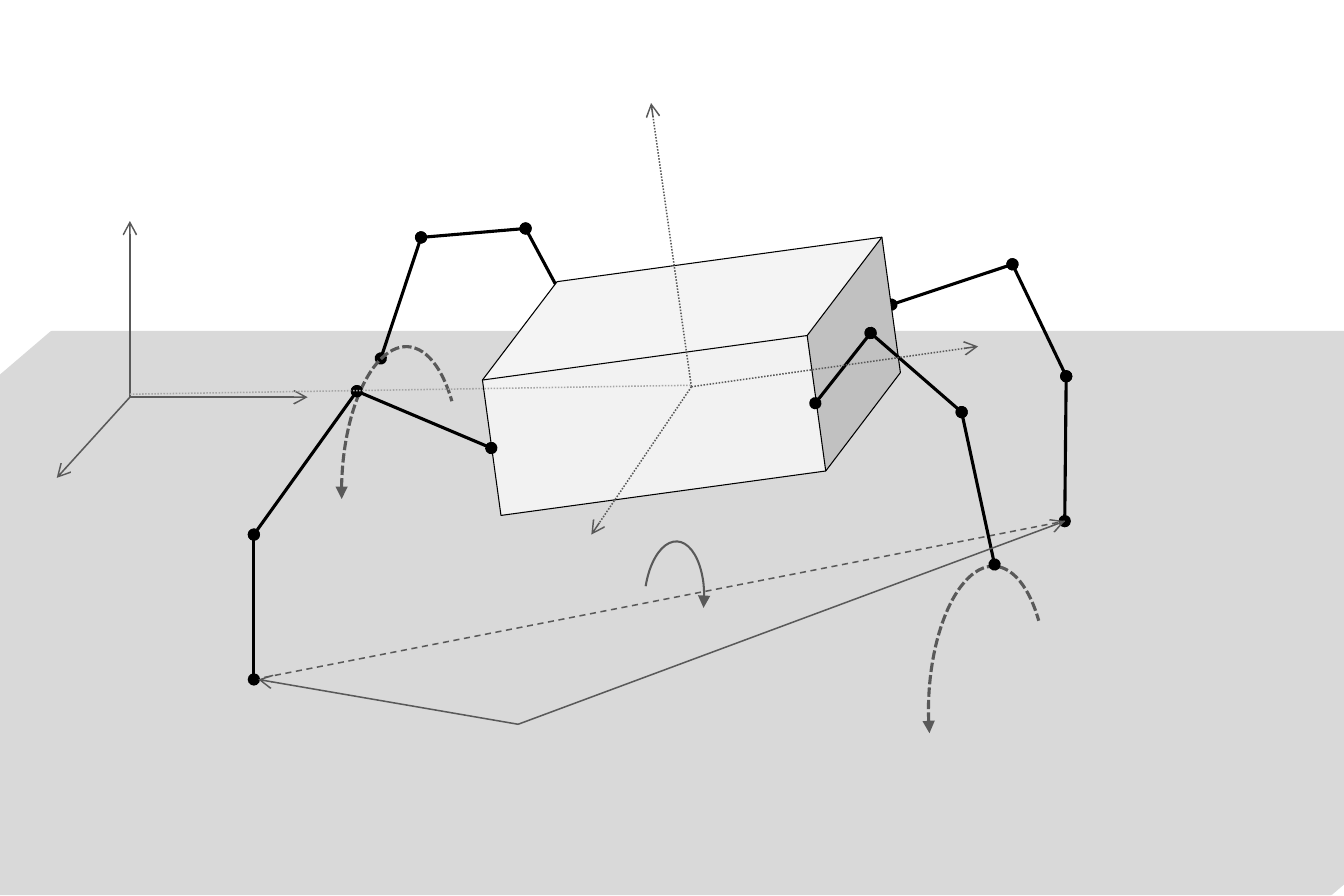
from dataclasses import dataclass
from itertools import pairwise

from lxml import etree
from pptx import Presentation
from pptx.dml.color import RGBColor
from pptx.enum import dml, shapes
from pptx.oxml import ns
from pptx.util import Inches, Pt


@dataclass(frozen=True)
class Theme:
    """Colours, line widths and dashes of the robot diagram."""
    ground: str = "D9D9D9"
    body: str = "F2F2F2"
    leg: str = "000000"
    guide: str = "595959"
    faint: str = "A6A6A6"
    ground_width: float = 2
    leg_width: float = 1.5
    swing_width: float = 1.5
    turn_width: float = 1
    guide_width: float = 0.75
    body_width: float = 0.5
    dotted: dml.MSO_LINE = dml.MSO_LINE.ROUND_DOT
    short_dash: dml.MSO_LINE = dml.MSO_LINE.SQUARE_DOT
    dashed: dml.MSO_LINE = dml.MSO_LINE.DASH


THEME = Theme()
LEFT_FOOT = (1.7, 4.55)
RIGHT_FOOT = (7.13, 3.49)
BODY_CENTER = (4.63, 2.59)
WORLD_ORIGIN = (0.87, 2.66)
GROUND_POINT = (3.47, 4.85)


def style_line(shape, color, width, dash=None, head=None, tail=None):
    """Set the outline and its end marks."""
    shape.line.color.rgb = RGBColor.from_string(color)
    shape.line.width = Pt(width)
    if dash is not None:
        shape.line.dash_style = dash
    outline = shape.element.spPr.find(ns.qn("a:ln"))
    for tag, mark in (("a:headEnd", head), ("a:tailEnd", tail)):
        if mark:
            etree.SubElement(outline, ns.qn(tag), type=mark)


def add_line(slide, start, end, color=THEME.guide, width=THEME.guide_width, **ends):
    """Draw a straight connector between two points."""
    connector = slide.shapes.add_connector(
        shapes.MSO_CONNECTOR.STRAIGHT, *(Inches(value) for value in (*start, *end)))
    style_line(connector, color, width, **ends)
    etree.SubElement(connector.element.spPr, ns.qn("a:effectLst"))


def add_leg(slide, *joints):
    """Draw a leg as links with a round joint at each end."""
    for start, end in pairwise(joints):
        add_line(slide, start, end, THEME.leg, THEME.leg_width, head="oval", tail="oval")


def add_axes(slide, origin, tips, dash=None):
    """Draw arrows from one origin to several tips."""
    for tip in tips:
        add_line(slide, origin, tip, dash=dash, tail="arrow")


def add_preset(slide, kind, box, adjustments, fill=None, rotation=0, **outline):
    """Draw a preset shape in a box of left, top, width and height."""
    shape = slide.shapes.add_shape(kind, *(Inches(value) for value in box))
    shape.shadow.inherit = False
    shape.rotation = rotation
    for index, value in enumerate(adjustments):
        shape.adjustments[index] = value
    if fill:
        shape.fill.solid()
        shape.fill.fore_color.rgb = RGBColor.from_string(fill)
    else:
        shape.fill.background()
    style_line(shape, **outline)


def add_arc(slide, box, angles, **outline):
    """Draw a curved motion arrow."""
    add_preset(slide, shapes.MSO_SHAPE.ARC, box, angles, rotation=272.9,
               color=THEME.guide, **outline)


def add_swing(slide, left, top, start):
    """Draw the dashed swing path of a lifted foot."""
    add_arc(slide, (left, top, 1.77, 0.79), (start, 18.27), width=THEME.swing_width,
            dash=THEME.short_dash, head="triangle")


def main():
    """Build the walking robot slide."""
    presentation = Presentation()
    presentation.slide_width, presentation.slide_height = Inches(9), Inches(6)
    slide = presentation.slides.add_slide(presentation.slide_layouts[6])

    add_preset(slide, shapes.MSO_SHAPE.PARALLELOGRAM, (-4.04, 2.23, 17.34, 3.75), [1.17],
               fill=THEME.ground, color=THEME.ground, width=THEME.ground_width)
    add_leg(slide, (5.97, 2.04), (6.78, 1.77), (7.14, 2.52), RIGHT_FOOT)
    add_line(slide, LEFT_FOOT, RIGHT_FOOT, dash=THEME.dashed)
    add_leg(slide, (3.89, 2.22), (3.52, 1.53), (2.82, 1.59), (2.55, 2.4))
    add_preset(slide, shapes.MSO_SHAPE.CUBE, (3.24, 1.77, 2.78, 1.5), [0.39],
               fill=THEME.body, rotation=352.2, color=THEME.leg, width=THEME.body_width)

    add_swing(slide, 1.8, 2.81, start=148.93)
    add_leg(slide, (3.29, 3), (2.39, 2.62), (1.7, 3.58), LEFT_FOOT)
    add_swing(slide, 5.73, 4.28, start=141.7)
    add_leg(slide, (5.46, 2.7), (5.83, 2.23), (6.44, 2.76), (6.66, 3.78))

    add_axes(slide, BODY_CENTER, [(4.36, 0.69), (6.55, 2.32), (3.96, 3.58)], THEME.dotted)
    add_axes(slide, WORLD_ORIGIN, [(0.87, 1.48), (2.06, 2.66), (0.38, 3.2)])
    add_arc(slide, (4.12, 3.82, 0.79, 0.4), (176.06, 60.91),
            width=THEME.turn_width, tail="triangle")
    add_line(slide, (0.87, 2.64), (4.63, 2.58), THEME.faint, dash=THEME.dotted)
    add_axes(slide, GROUND_POINT, [(1.73, 4.55), RIGHT_FOOT])

    presentation.save("out.pptx")


if __name__ == "__main__":
    main()
